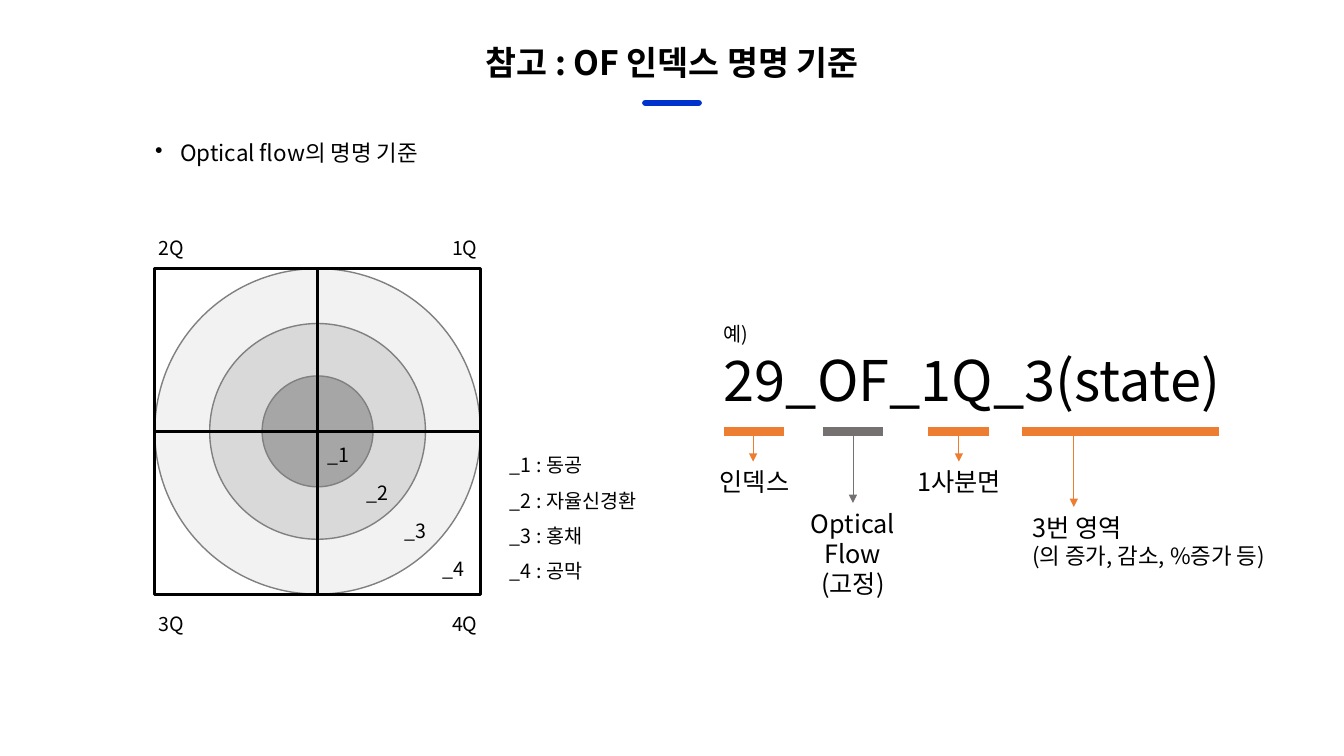
from dataclasses import dataclass

from lxml import etree
from pptx import Presentation
from pptx.dml.color import RGBColor
from pptx.enum.shapes import MSO_CONNECTOR, MSO_SHAPE
from pptx.enum.text import MSO_ANCHOR, PP_ALIGN
from pptx.oxml.ns import qn
from pptx.util import Inches, Pt

STRAIGHT = MSO_CONNECTOR.STRAIGHT
OVAL, RECTANGLE = MSO_SHAPE.OVAL, MSO_SHAPE.RECTANGLE
LEFT, CENTER = PP_ALIGN.LEFT, PP_ALIGN.CENTER
TOP, MIDDLE = MSO_ANCHOR.TOP, MSO_ANCHOR.MIDDLE
TITLE_ONLY = 5


@dataclass(frozen=True)
class Theme:
    """Font, colours and type sizes of the slide."""
    font: str = "Noto Sans CJK KR"
    text: str = "000000"
    accent: str = "0032CD"
    orange: str = "ED7D31"
    gray: str = "767171"
    ring_line: str = "808080"
    iris: str = "F2F2F2"
    collarette: str = "D9D9D9"
    pupil: str = "A6A6A6"
    label: int = 14
    body: int = 16
    caption: int = 18
    title: int = 24
    example: int = 40


THEME = Theme()


def write_text(shape, lines, size=THEME.label, sizes=None, bold=False, align=LEFT,
               anchor=TOP, spacing=1.0, before=0):
    """Fill a shape with one formatted paragraph per line."""
    frame = shape.text_frame
    frame.word_wrap = True
    frame.vertical_anchor = anchor
    frame.text = "\n".join(lines)
    for paragraph, points in zip(frame.paragraphs, sizes or [size] * len(lines)):
        paragraph.alignment = align
        paragraph.line_spacing = spacing
        paragraph.space_before = Pt(before)
        font = paragraph.runs[0].font
        font.size, font.bold, font.name = Pt(points), bold, THEME.font
        font.color.rgb = RGBColor.from_string(THEME.text)
        east_asian = etree.SubElement(paragraph.runs[0]._r.rPr, qn("a:ea"))
        east_asian.set("typeface", THEME.font)


def add_text(slide, box, lines, **text_format):
    """Add a text box at left, top, width, height."""
    shape = slide.shapes.add_textbox(*map(Inches, box))
    write_text(shape, lines, **text_format)
    return shape


def add_line(slide, start, end, color, width, arrow=False, rounded=False):
    """Add a straight line, with an optional arrowhead or round caps."""
    connector = slide.shapes.add_connector(STRAIGHT, *map(Inches, (*start, *end)))
    connector.line.color.rgb = RGBColor.from_string(color)
    connector.line.width = Pt(width)
    outline = connector.line._get_or_add_ln()
    if rounded:
        outline.set("cap", "rnd")
    if arrow:
        etree.SubElement(outline, qn("a:tailEnd")).set("type", "triangle")
    etree.SubElement(connector._element.spPr, qn("a:effectLst"))


def add_centered_shape(slide, kind, center, size, line, width, fill=None):
    """Add a square-proportioned shape around a center point."""
    left, top = (value - size / 2 for value in center)
    shape = slide.shapes.add_shape(kind, *map(Inches, (left, top, size, size)))
    shape.shadow.inherit = False
    shape.line.color.rgb = RGBColor.from_string(line)
    shape.line.width = Pt(width)
    if fill:
        shape.fill.solid()
        shape.fill.fore_color.rgb = RGBColor.from_string(fill)
    else:
        shape.fill.background()


def add_heading(slide):
    """Place the title, its accent line and the bulleted topic."""
    title = slide.shapes.title
    title.left, title.top, title.width, title.height = map(Inches, (1.44, 0.38, 10.45, 0.52))
    write_text(title, ["참고 : OF 인덱스 명명 기준"], size=THEME.title, bold=True,
               align=CENTER, anchor=MIDDLE, spacing=0.9)
    add_line(slide, (6.4, 1.02), (6.93, 1.02), THEME.accent, 4.5, rounded=True)
    topic = add_text(slide, (1.44, 1.31, 10.45, 0.5), ["Optical flow의 명명 기준"],
                     size=THEME.body, spacing=1.1, before=10)
    properties = topic.text_frame.paragraphs[0]._p.get_or_add_pPr()
    properties.set("marL", str(Inches(0.25)))
    properties.set("indent", str(-Inches(0.25)))
    etree.SubElement(properties, qn("a:buChar")).set("char", "•")


def add_eye_diagram(slide):
    """Draw the eye regions, quadrants, labels and legend."""
    center_x, center_y = center = (3.15, 4.28)
    side = 3.23
    half = side / 2
    for diameter, fill in ((side, THEME.iris), (2.14, THEME.collarette), (1.1, THEME.pupil)):
        add_centered_shape(slide, OVAL, center, diameter, THEME.ring_line, 1, fill)
    add_line(slide, (center_x - half, center_y), (center_x + half, center_y), THEME.text, 2.25)
    add_line(slide, (center_x, center_y - half), (center_x, center_y + half), THEME.text, 2.25)
    add_centered_shape(slide, RECTANGLE, center, side, THEME.text, 2.25)
    for name, left, top in (("1Q", 4.34, 2.29), ("2Q", 1.43, 2.29),
                            ("3Q", 1.43, 6.02), ("4Q", 4.34, 6.02)):
        add_text(slide, (left, top, 0.54, 0.34), [name], align=CENTER)
    regions = ("동공", "자율신경환", "홍채", "공막")
    for index in range(len(regions)):
        offset = 0.38 * index
        add_text(slide, (3.09 + offset, 4.34 + offset, 0.54, 0.34), [f"_{index + 1}"],
                 align=CENTER)
    legend = [f"_{number} : {region}" for number, region in enumerate(regions, 1)]
    add_text(slide, (4.96, 4.33, 1.56, 1.48), legend, spacing=1.5)


def add_name_example(slide):
    """Show the sample name with each part underlined and explained."""
    add_text(slide, (7.08, 3.14, 5.2, 1.01), ["예)", "29_OF_1Q_3(state)"],
             sizes=(THEME.label, THEME.example))
    bar_y = 4.28
    parts = (
        (7.18, 7.78, 7.47, 4.58, THEME.orange),
        (8.16, 8.76, 8.46, 4.99, THEME.gray),
        (9.2, 9.81, 9.51, 4.58, THEME.orange),
        (10.14, 12.09, 10.65, 5.03, THEME.orange),
    )
    for bar_left, bar_right, arrow_x, arrow_y, color in parts:
        add_line(slide, (bar_left, bar_y), (bar_right, bar_y), color, 6)
        add_line(slide, (arrow_x, bar_y), (arrow_x, arrow_y), color, 0.5, arrow=True)
    add_text(slide, (7.04, 4.58, 1.0, 0.4), ["인덱스"], size=THEME.caption)
    add_text(slide, (7.94, 4.99, 1.04, 1.01), ["Optical", "Flow", "(고정)"],
             size=THEME.caption, align=CENTER)
    add_text(slide, (8.99, 4.58, 1.04, 0.4), ["1사분면"], size=THEME.caption, align=CENTER)
    add_text(slide, (10.14, 5.03, 2.54, 0.67), ["3번 영역", "(의 증가, 감소, %증가 등)"],
             sizes=(THEME.caption, THEME.body))


def main():
    """Build and save the slide."""
    presentation = Presentation()
    presentation.slide_width, presentation.slide_height = Inches(13.33), Inches(7.5)
    slide = presentation.slides.add_slide(presentation.slide_layouts[TITLE_ONLY])
    add_heading(slide)
    add_eye_diagram(slide)
    add_name_example(slide)
    presentation.save("out.pptx")


if __name__ == "__main__":
    main()
